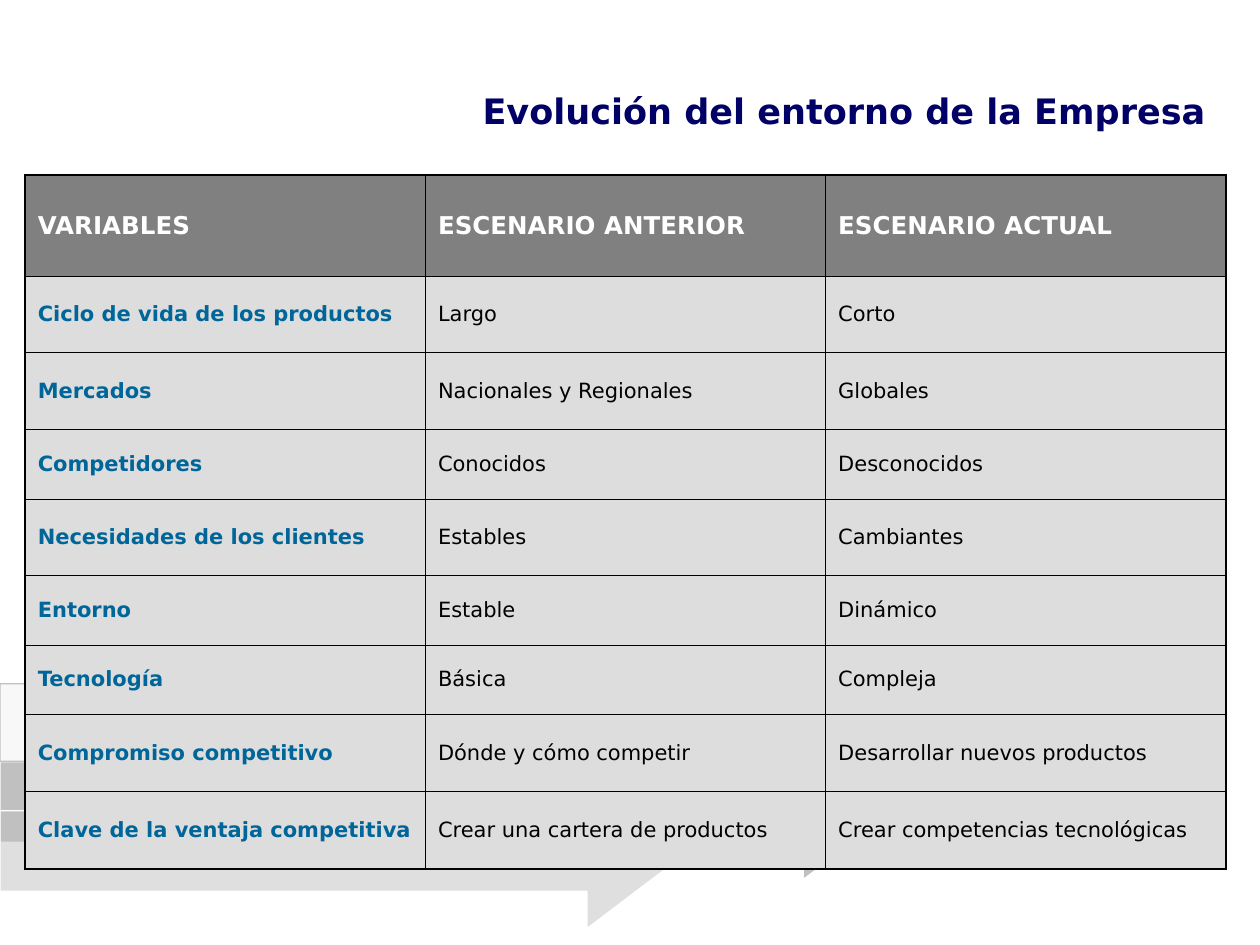
from lxml import etree
from pptx import Presentation
from pptx.dml.color import RGBColor
from pptx.enum import shapes, text
from pptx.oxml.ns import qn
from pptx.util import Inches, Pt

NAVY = RGBColor(0x00, 0x00, 0x66)
BLUE = RGBColor(0x00, 0x66, 0x99)
BLACK = RGBColor(0x00, 0x00, 0x00)
WHITE = RGBColor(0xFF, 0xFF, 0xFF)
PALE = RGBColor(0xF8, 0xF8, 0xF8)
LIGHT = RGBColor(0xDD, 0xDD, 0xDD)
SILVER = RGBColor(0xC0, 0xC0, 0xC0)
GREY = RGBColor(0x80, 0x80, 0x80)
FONT = "DejaVu Sans"
THIN, THICK = Pt(0.45), Pt(1.08)


def add_run(para, words, size, color, bold):
    run = para.add_run()
    run.text = words
    font = run.font
    font.name, font.size, font.bold = FONT, Pt(size), bold
    font.color.rgb = color


def add_border(cell, side, width):
    """Draw one cell edge; side is L, R, T or B, called in that order."""
    line = etree.SubElement(cell._tc.get_or_add_tcPr(), qn(f"a:ln{side}"), w=str(width))
    fill = etree.SubElement(line, qn("a:solidFill"))
    etree.SubElement(fill, qn("a:srgbClr"), val=str(BLACK))


prs = Presentation()
prs.slide_width, prs.slide_height = Inches(10), Inches(7.5)
slide = prs.slides.add_slide(prs.slide_layouts[6])

# Background arrows: top, width, shaft, head, fill, line, opacity in percent
arrows = [
    (5.75, 7.2, 0.52, 0.67, SILVER, WHITE, 100),
    (6.14, 5.47, 0.52, 0.66, SILVER, WHITE, 50),
    (5.12, 3.27, 0.5, 0.66, PALE, SILVER, 100),
]
for top, width, shaft, head, color, edge, alpha in arrows:
    arrow = slide.shapes.add_shape(
        shapes.MSO_SHAPE.RIGHT_ARROW, 0, Inches(top), Inches(width), Inches(1.23))
    arrow.shadow.inherit = False
    arrow.adjustments[0], arrow.adjustments[1] = shaft, head
    arrow.fill.solid()
    arrow.fill.fore_color.rgb = color
    arrow.line.color.rgb = edge
    arrow.line.width = Pt(0.75)
    if alpha < 100:
        tint = arrow._element.spPr.find(qn("a:solidFill"))[0]
        etree.SubElement(tint, qn("a:alpha"), val=str(alpha * 1000))

# Title
title = slide.shapes.add_textbox(Inches(1), Inches(0.25), Inches(8.67), Inches(1.25))
frame = title.text_frame
frame.word_wrap = True
frame.vertical_anchor = text.MSO_ANCHOR.MIDDLE
para = frame.paragraphs[0]
para.alignment = text.PP_ALIGN.RIGHT
add_run(para, "Evolución del entorno de la Empresa", 20, NAVY, True)

# Comparison table
rows = [
    ("VARIABLES", "ESCENARIO ANTERIOR", "ESCENARIO ACTUAL"),
    ("Ciclo de vida de los productos", "Largo", "Corto"),
    ("Mercados", "Nacionales y Regionales", "Globales"),
    ("Competidores", "Conocidos", "Desconocidos"),
    ("Necesidades de los clientes", "Estables", "Cambiantes"),
    ("Entorno", "Estable", "Dinámico"),
    ("Tecnología", "Básica", "Compleja"),
    ("Compromiso competitivo", "Dónde y cómo competir", "Desarrollar nuevos productos"),
    ("Clave de la ventaja competitiva", "Crear una cartera de productos",
     "Crear competencias tecnológicas"),
]
heights = [0.8, 0.61, 0.61, 0.55, 0.61, 0.55, 0.55, 0.61, 0.62]
table = slide.shapes.add_table(
    len(rows), 3, Inches(0.2), Inches(1.39), Inches(9.53), Inches(sum(heights))).table
for col in table.columns:
    col.width = Inches(9.53 / 3)

for r, (row, height) in enumerate(zip(rows, heights)):
    table.rows[r].height = Inches(height)
    for c, words in enumerate(row):
        cell = table.cell(r, c)
        cell.vertical_anchor = text.MSO_ANCHOR.MIDDLE
        outer = {"L": c == 0, "R": c == 2, "T": r == 0, "B": r == len(rows) - 1}
        for side, rim in outer.items():
            add_border(cell, side, THICK if rim else THIN)
        cell.fill.solid()
        cell.fill.fore_color.rgb = GREY if r == 0 else LIGHT
        para = cell.text_frame.paragraphs[0]
        para.space_before = Pt(3.5 if r == 0 else 3)
        if r == 0:
            add_run(para, words, 14, WHITE, True)
        else:
            add_run(para, words, 12, BLUE if c == 0 else BLACK, c == 0)

prs.save("out.pptx")
